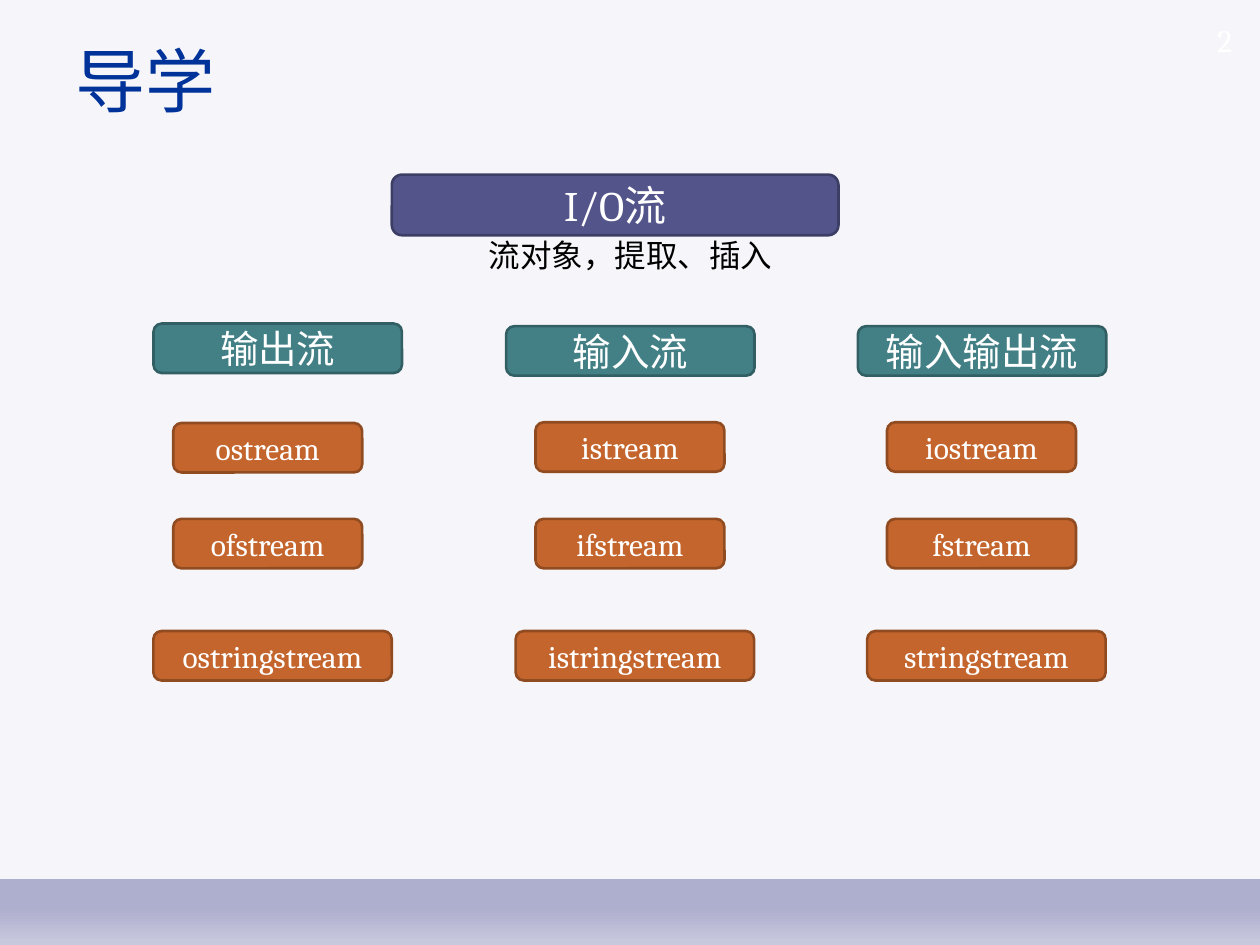
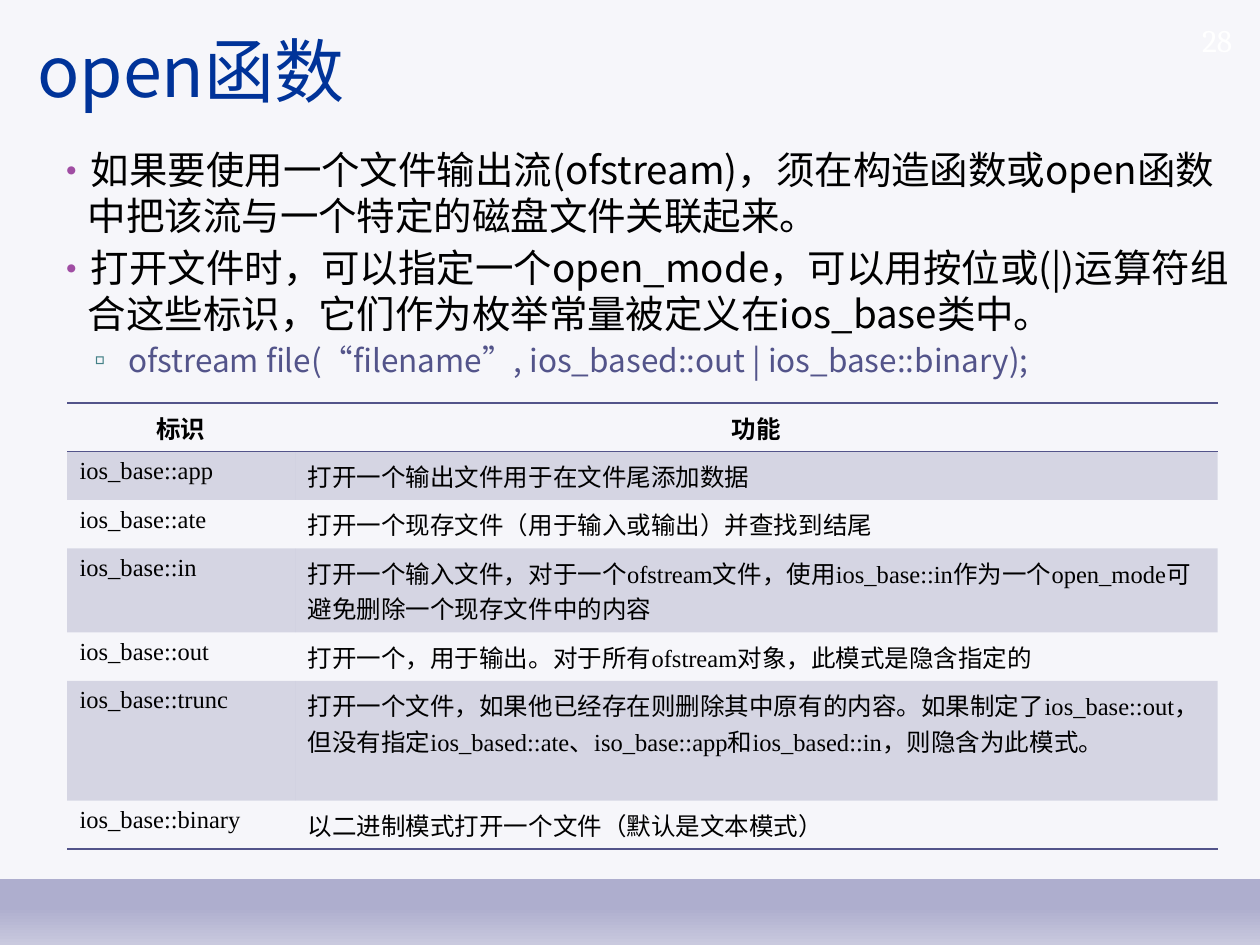
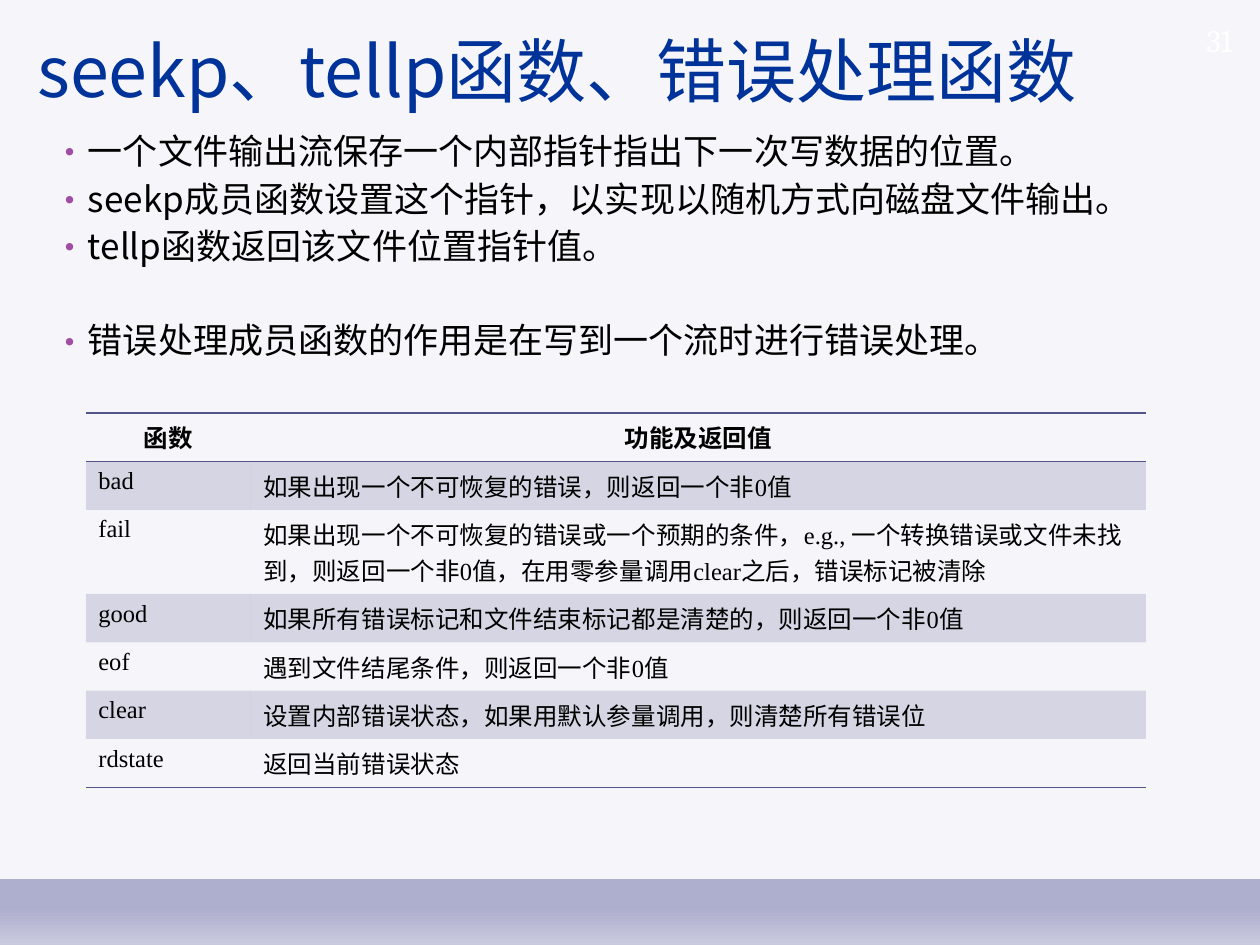
"""Build three slides about C++ input and output streams."""
import dataclasses
import typing

import lxml.etree
import pptx
import pptx.dml.color
import pptx.enum.shapes
import pptx.enum.text
import pptx.oxml.ns
import pptx.presentation
import pptx.slide
import pptx.table
import pptx.text.text
import pptx.util

Pt = pptx.util.Pt
qn = pptx.oxml.ns.qn
ALIGN = pptx.enum.text.PP_ALIGN
MIDDLE = pptx.enum.text.MSO_ANCHOR.MIDDLE

SANS, SERIF, TIMES = "Noto Sans CJK SC", "Cambria", "Times New Roman"
WHITE, BLACK, TITLE_BLUE = "FFFFFF", "000000", "003399"
INDIGO, TEAL, ORANGE, PURPLE = "53548A", "438086", "C4652D", "A04DA3"
EDGES = {INDIGO: "3D3E66", TEAL: "325F63", ORANGE: "914B21"}
BACKGROUND = [(93, "F6F6FA"), (93, "AEAECE"), (96, "AEAECE"), (100, "C9C9DE")]
NO_STYLE = "{2D5ABB26-0587-4C30-8999-92F81FD0307C}"
BOX_H = 28.3
CELL_PADDING, CELL_LINE = 7.2, 20.45

TITLE = {"name": SANS, "size": Pt(40)}
NUMBER = {"name": SERIF, "size": Pt(18)}
CAPTION = {"name": TIMES, "size": Pt(18)}
CELL = {"name": TIMES, "size": Pt(14), "bold": False}
HEADER = {**CELL, "bold": True}


class Rect(typing.NamedTuple):
    x: float
    y: float
    w: float
    h: float

    def lengths(self) -> list[pptx.util.Length]:
        return [Pt(v) for v in self]


class ClassRow(typing.NamedTuple):
    top: float
    width: float
    shift: float


@dataclasses.dataclass
class StreamColumn:
    heading: str
    heading_center: float
    heading_top: float
    center: float
    first_top: float
    classes: tuple[str, str, str]


@dataclasses.dataclass
class Bullet:
    text: str
    size: float
    level: int = 0
    before: float = 3


class BulletStyle(typing.NamedTuple):
    char: str
    font: str
    color: str
    text_color: str
    margin: float
    hang: float


class FunctionRow(typing.NamedTuple):
    name: str
    purpose: str
    lines: int = 1


@dataclasses.dataclass
class FunctionTable:
    left: float
    top: float
    widths: tuple[float, float]
    rows: list[FunctionRow]


@dataclasses.dataclass
class FunctionSlide:
    number: int
    title: str
    body_top: float
    bullets: list[Bullet]
    table: FunctionTable


LEVELS = [BulletStyle("•", SANS, PURPLE, BLACK, 28.8, 20.2),
          BulletStyle("▫", TIMES, TEAL, INDIGO, 51.8, 19.4)]

COLUMNS = [
    StreamColumn("输出流", 158.7, 184.9, 153, 241.7,
                 ("ostream", "ofstream", "ostringstream")),
    StreamColumn("输入流", 360.2, 186.4, 360, 241.3,
                 ("istream", "ifstream", "istringstream")),
    StreamColumn("输入输出流", 561.2, 186.4, 560.9, 241.3,
                 ("iostream", "fstream", "stringstream")),
]

FUNCTION_SLIDES = [
    FunctionSlide(
        28, "open函数", 80,
        [Bullet("如果要使用一个文件输出流(ofstream)，须在构造函数或open函数中把该流与一个特定的磁盘文件关联起来。", 22),
         Bullet("打开文件时，可以指定一个open_mode，可以用按位或(|)运算符组合这些标识，它们作为枚举常量被定义在ios_base类中。", 22),
         Bullet("ofstream file(“filename”, ios_based::out | ios_base::binary);", 18, 1)],
        FunctionTable(38.3, 230.4, (130.3, 527.2), [
            FunctionRow("标识", "功能"),
            FunctionRow("ios_base::app", "打开一个输出文件用于在文件尾添加数据"),
            FunctionRow("ios_base::ate", "打开一个现存文件（用于输入或输出）并查找到结尾"),
            FunctionRow("ios_base::in", "打开一个输入文件，对于一个ofstream文件，使用ios_base::in作为一个open_mode可避免删除一个现存文件中的内容", 2),
            FunctionRow("ios_base::out", "打开一个，用于输出。对于所有ofstream对象，此模式是隐含指定的"),
            FunctionRow("ios_base::trunc", "打开一个文件，如果他已经存在则删除其中原有的内容。如果制定了ios_base::out，但没有指定ios_based::ate、iso_base::app和ios_based::in，则隐含为此模式。", 3),
            FunctionRow("ios_base::binary", "以二进制模式打开一个文件（默认是文本模式）"),
        ])),
    FunctionSlide(
        31, "seekp、tellp函数、错误处理函数", 70.6,
        [Bullet("一个文件输出流保存一个内部指针指出下一次写数据的位置。", 20),
         Bullet("seekp成员函数设置这个指针，以实现以随机方式向磁盘文件输出。", 20),
         Bullet("tellp函数返回该文件位置指针值。", 20),
         Bullet("错误处理成员函数的作用是在写到一个流时进行错误处理。", 20, before=30)],
        FunctionTable(49, 236, (94.3, 511.5), [
            FunctionRow("函数", "功能及返回值"),
            FunctionRow("bad", "如果出现一个不可恢复的错误，则返回一个非0值"),
            FunctionRow("fail", "如果出现一个不可恢复的错误或一个预期的条件，e.g., 一个转换错误或文件未找到，则返回一个非0值，在用零参量调用clear之后，错误标记被清除", 2),
            FunctionRow("good", "如果所有错误标记和文件结束标记都是清楚的，则返回一个非0值"),
            FunctionRow("eof", "遇到文件结尾条件，则返回一个非0值"),
            FunctionRow("clear", "设置内部错误状态，如果用默认参量调用，则清楚所有错误位"),
            FunctionRow("rdstate", "返回当前错误状态"),
        ])),
]


def rgb(value: str) -> pptx.dml.color.RGBColor:
    return pptx.dml.color.RGBColor.from_string(value)


def add_xml(parent: typing.Any, tag: str, **attrs: typing.Any) -> typing.Any:
    return lxml.etree.SubElement(parent, qn(tag), {k: str(v) for k, v in attrs.items()})


def set_all(target: typing.Any, values: dict[str, typing.Any]) -> None:
    for name, value in values.items():
        setattr(target, name, value)


def write(p: typing.Any, text: str, fmt: dict[str, typing.Any], color: str,
          align: ALIGN = ALIGN.LEFT) -> None:
    p.alignment = align
    r = p.add_run()
    r.text = text
    set_all(r.font, fmt)
    r.font.color.rgb = rgb(color)
    add_xml(r.font._element, "a:ea", typeface=SANS)


def add_text(s: pptx.slide.Slide, rect: Rect) -> pptx.text.text.TextFrame:
    tf = s.shapes.add_textbox(*rect.lengths()).text_frame
    tf.word_wrap = True
    return tf


def add_box(s: pptx.slide.Slide, rect: Rect, text: str, size: float, color: str) -> None:
    sp = s.shapes.add_shape(pptx.enum.shapes.MSO_SHAPE.ROUNDED_RECTANGLE, *rect.lengths())
    sp.shadow.inherit = False
    sp.fill.solid()
    sp.fill.fore_color.rgb = rgb(color)
    sp.line.color.rgb = rgb(EDGES[color])
    sp.line.width = Pt(1.5)
    sp.text_frame.vertical_anchor = MIDDLE
    write(sp.text_frame.paragraphs[0], text, {"name": SERIF, "size": Pt(size)}, WHITE, ALIGN.CENTER)


def set_background(prs: pptx.presentation.Presentation) -> None:
    fill = prs.slide_master.background.fill
    fill.gradient()
    fill.gradient_angle = 270
    stops = prs.slide_master._element.find(".//" + qn("a:gsLst"))
    for stop in list(stops):
        stops.remove(stop)
    for position, color in BACKGROUND:
        add_xml(add_xml(stops, "a:gs", pos=position * 1000), "a:srgbClr", val=color)


def new_slide(prs: pptx.presentation.Presentation, number: int, title: str,
              title_rect: Rect) -> pptx.slide.Slide:
    s = prs.slides.add_slide(prs.slide_layouts[6])
    tf = add_text(s, title_rect)
    tf.vertical_anchor = MIDDLE
    write(tf.paragraphs[0], title, TITLE, TITLE_BLUE)
    tf = add_text(s, Rect(651.2, 8.8, 60, 28))
    tf.vertical_anchor = MIDDLE
    write(tf.paragraphs[0], str(number), NUMBER, WHITE, ALIGN.RIGHT)
    return s


def add_bullets(s: pptx.slide.Slide, top: float, bullets: list[Bullet]) -> None:
    tf = add_text(s, Rect(14.4, top, 705.6, 371.5))
    for i, bullet in enumerate(bullets):
        style = LEVELS[bullet.level]
        p = tf.add_paragraph() if i else tf.paragraphs[0]
        set_all(p, {"level": bullet.level, "space_before": Pt(bullet.before)})
        write(p, bullet.text, {"name": SANS, "size": Pt(bullet.size)}, style.text_color)
        pPr = p._p.get_or_add_pPr()
        pPr.set("marL", str(Pt(style.margin)))
        pPr.set("indent", str(-Pt(style.hang)))
        add_xml(add_xml(pPr, "a:buClr"), "a:srgbClr", val=style.color)
        add_xml(pPr, "a:buFont", typeface=style.font)
        add_xml(pPr, "a:buChar", char=style.char)


def set_borders(cell: pptx.table._Cell, sides: list[str]) -> None:
    tcPr = cell._tc.get_or_add_tcPr()
    for i, side in enumerate(sides):
        line = add_xml(tcPr, f"a:ln{side}", w=Pt(1))
        add_xml(add_xml(line, "a:solidFill"), "a:srgbClr", val=INDIGO)
        tcPr.insert(i, line)


def shade(cell: pptx.table._Cell, banded: bool) -> None:
    if not banded:
        cell.fill.background()
        return
    cell.fill.solid()
    cell.fill.fore_color.rgb = rgb(INDIGO)
    add_xml(cell._tc.tcPr.find(".//" + qn("a:srgbClr")), "a:alpha", val=20000)


def add_function_table(s: pptx.slide.Slide, content: FunctionTable) -> None:
    rows = content.rows
    heights = [CELL_PADDING + CELL_LINE * row.lines for row in rows]
    rect = Rect(content.left, content.top, sum(content.widths), sum(heights))
    table = s.shapes.add_table(len(rows), 2, *rect.lengths()).table
    table._tbl.tblPr.find(qn("a:tableStyleId")).text = NO_STYLE
    for column, width in zip(table.columns, content.widths):
        column.width = Pt(width)
    for i, row in enumerate(rows):
        table.rows[i].height = Pt(heights[i])
        for j, text in enumerate((row.name, row.purpose)):
            cell = table.cell(i, j)
            fmt, align = (CELL, ALIGN.LEFT) if i else (HEADER, ALIGN.CENTER)
            write(cell.text_frame.paragraphs[0], text, fmt, BLACK, align)
            shade(cell, i % 2 == 1)
            if i == 0:
                set_borders(cell, ["T", "B"])
            elif i == len(rows) - 1:
                set_borders(cell, ["B"])


def add_overview(prs: pptx.presentation.Presentation) -> None:
    s = new_slide(prs, 2, "导学", Rect(36, 3.6, 648, 84.2))
    add_box(s, Rect(223.9, 99.8, 255.2, 34.6), "I/O流", 24, INDIGO)
    tf = add_text(s, Rect(272.2, 131.3, 178.6, 28.8))
    write(tf.paragraphs[0], "流对象，提取、插入", CAPTION, BLACK)
    for col in COLUMNS:
        add_box(s, Rect(col.heading_center - 71, col.heading_top, 142, BOX_H), col.heading, 22, TEAL)
        rows = [ClassRow(col.first_top, 108, 0), ClassRow(296.5, 108, 0), ClassRow(360.6, 136.3, 2.8)]
        for name, row in zip(col.classes, rows):
            left = col.center + row.shift - row.width / 2
            add_box(s, Rect(left, row.top, row.width, BOX_H), name, 18, ORANGE)


def main() -> None:
    prs = pptx.Presentation()
    set_all(prs, {"slide_width": Pt(720), "slide_height": Pt(540)})
    set_background(prs)
    add_overview(prs)
    for item in FUNCTION_SLIDES:
        s = new_slide(prs, item.number, item.title, Rect(14.4, -2.2, 705.6, 84.2))
        add_bullets(s, item.body_top, item.bullets)
        add_function_table(s, item.table)
    prs.save("out.pptx")


if __name__ == "__main__":
    main()
